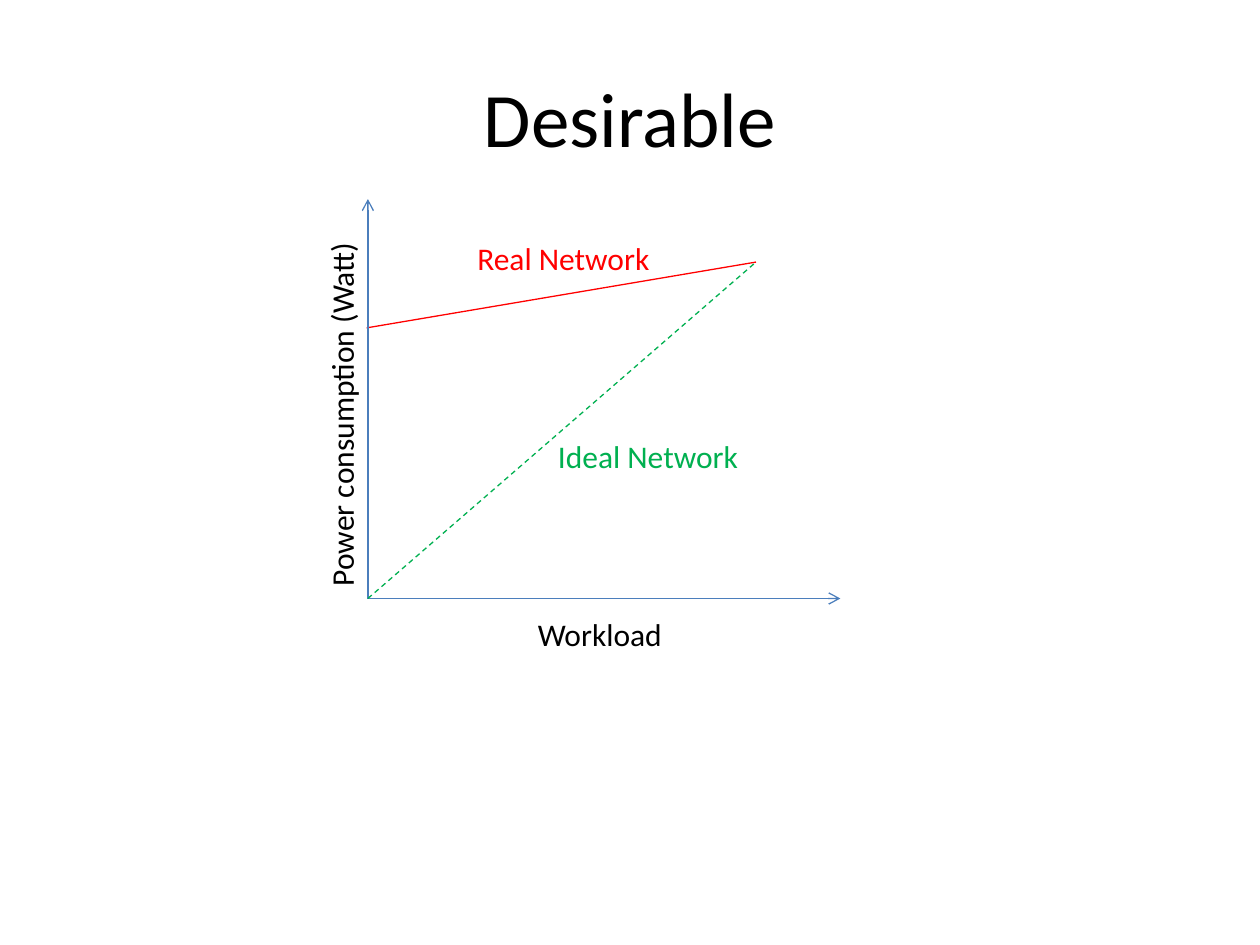
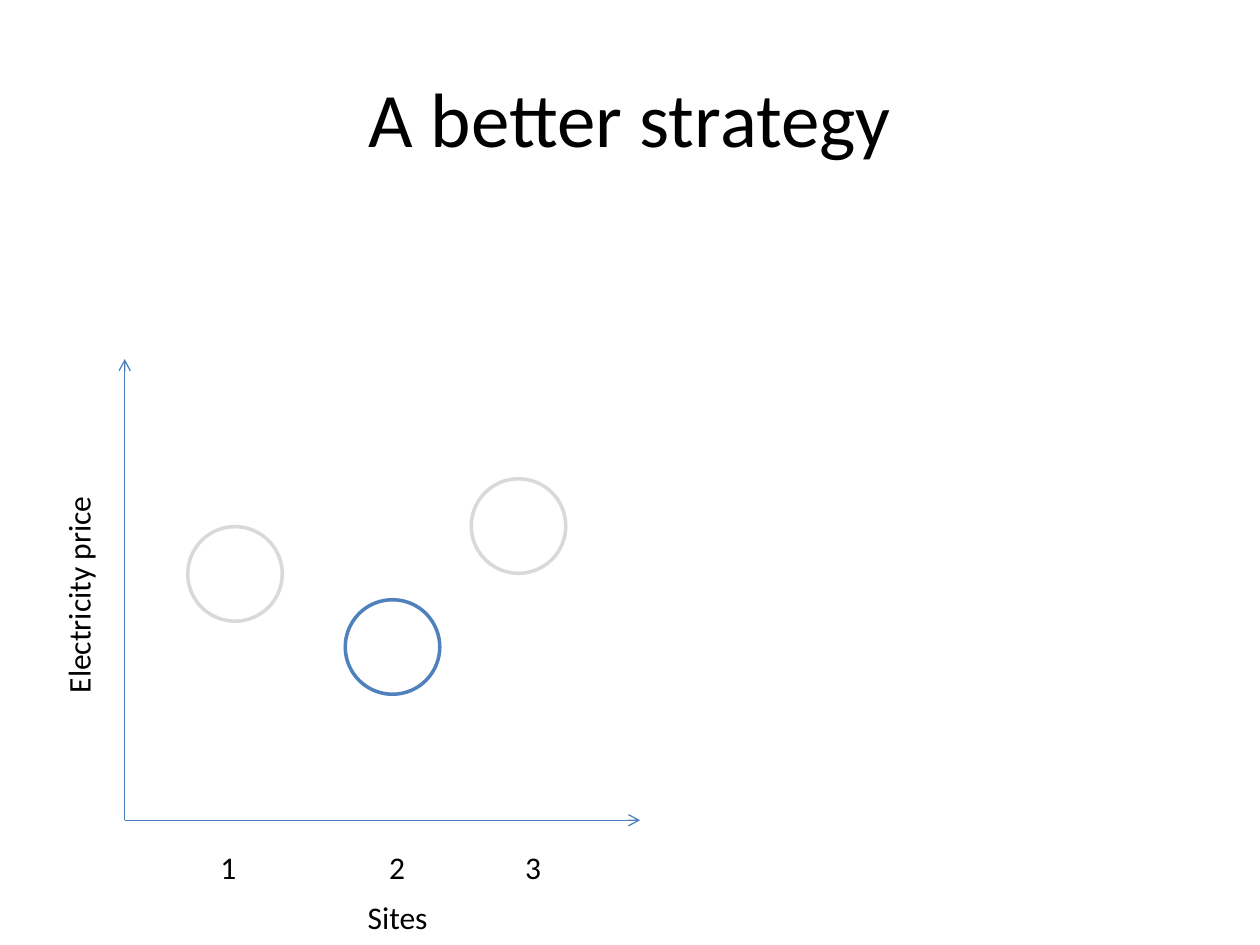
import pptx
import pptx.util
import pptx.dml.color
import pptx.enum.dml
import pptx.enum.shapes
import pptx.enum.text
import pptx.oxml.ns
from lxml import etree

Inches = pptx.util.Inches
FONT = "Calibri"
COLORS = {
    "text": "000000",
    "paper": "FFFFFF",
    "axis": "4B7EBC",
    "real": "FF0000",
    "ideal": "00B050",
    "site": "D9D9D9",
    "best": "4F81BD",
}


def color(name):
    return pptx.dml.color.RGBColor.from_string(COLORS[name])


def add_run(para, text, size, ink="text"):
    run = para.add_run()
    run.text = text
    run.font.name = FONT
    run.font.size = pptx.util.Pt(size)
    run.font.color.rgb = color(ink)


def add_page(deck, title):
    """Add a slide with the shared title style."""
    slide = deck.slides.add_slide(deck.slide_layouts[5])
    head = slide.shapes.title
    head.left, head.top = Inches(0.5), Inches(0.3)
    head.width, head.height = Inches(9), Inches(1.25)
    frame = head.text_frame
    frame.vertical_anchor = pptx.enum.text.MSO_ANCHOR.MIDDLE
    para = frame.paragraphs[0]
    para.alignment = pptx.enum.text.PP_ALIGN.CENTER
    add_run(para, title, 44)
    return slide


def add_line(slide, start, end, ink, dash=False, arrow=False):
    line = slide.shapes.add_connector(
        pptx.enum.shapes.MSO_CONNECTOR.STRAIGHT,
        *map(Inches, (*start, *end)))
    line.line.color.rgb = color(ink)
    line.line.width = pptx.util.Pt(0.75)
    if dash:
        line.line.dash_style = pptx.enum.dml.MSO_LINE.DASH
    qn = pptx.oxml.ns.qn
    props = line._element.spPr
    if arrow:
        etree.SubElement(props.find(qn("a:ln")), qn("a:tailEnd"), type="arrow")
    etree.SubElement(props, qn("a:effectLst"))


def add_axes(slide, origin, right, top):
    """Draw both arrows from the origin."""
    x, y = origin
    for end in ((x, top), (right, y)):
        add_line(slide, origin, end, "axis", arrow=True)


def add_label(slide, text, left, top, width, ink="text", turn=0, fill=None):
    box = slide.shapes.add_textbox(*map(Inches, (left, top, width, 0.4)))
    box.rotation = turn
    if fill:
        box.fill.solid()
        box.fill.fore_color.rgb = color(fill)
    frame = box.text_frame
    frame.word_wrap = False
    frame.auto_size = pptx.enum.text.MSO_AUTO_SIZE.SHAPE_TO_FIT_TEXT
    add_run(frame.paragraphs[0], text, 18, ink)


def add_ring(slide, left, top, ink):
    ring = slide.shapes.add_shape(
        pptx.enum.shapes.MSO_SHAPE.OVAL,
        *map(Inches, (left, top, 0.75, 0.75)))
    ring.shadow.inherit = False
    ring.fill.solid()
    ring.fill.fore_color.rgb = color("paper")
    ring.line.color.rgb = color(ink)
    ring.line.width = pptx.util.Pt(2)


def draw_power(deck):
    slide = add_page(deck, "Desirable")
    origin, peak = (2.92, 4.75), (6, 2.08)
    # The axis label's white box masks the start of the real curve
    add_line(slide, (2.51, 2.67), peak, "real")
    add_axes(slide, origin, 6.67, 1.58)
    add_label(slide, "Workload", 4.17, 4.83, 1.2)
    add_label(slide, "Power consumption (Watt)", 1.23, 3.07, 2.96,
              turn=270, fill="paper")
    add_line(slide, origin, peak, "ideal", dash=True)
    # Curve names
    add_label(slide, "Real Network", 3.69, 1.85, 1.64, "real")
    add_label(slide, "Ideal Network", 4.33, 3.42, 1.65, "ideal")


def draw_price(deck):
    slide = add_page(deck, "A better strategy")
    # Sites: ring left and top, ring colour, number left
    sites = [
        (1.49, 4.18, "site", 1.65),
        (2.74, 4.76, "best", 2.99),
        (3.74, 3.8, "site", 4.07),
    ]
    for num, (left, top, ink, mark) in enumerate(sites, 1):
        add_ring(slide, left, top, ink)
        add_label(slide, str(num), mark, 6.68, 0.33)
    # Axes and their names
    add_axes(slide, (0.99, 6.51), 5.08, 2.85)
    add_label(slide, "Sites", 2.82, 7.08, 0.68)
    add_label(slide, "Electricity price", -0.27, 4.51, 1.78, turn=270)


def main():
    deck = pptx.Presentation()
    deck.slide_width, deck.slide_height = Inches(10), Inches(7.5)
    draw_power(deck)
    draw_price(deck)
    deck.save("out.pptx")


if __name__ == "__main__":
    main()
